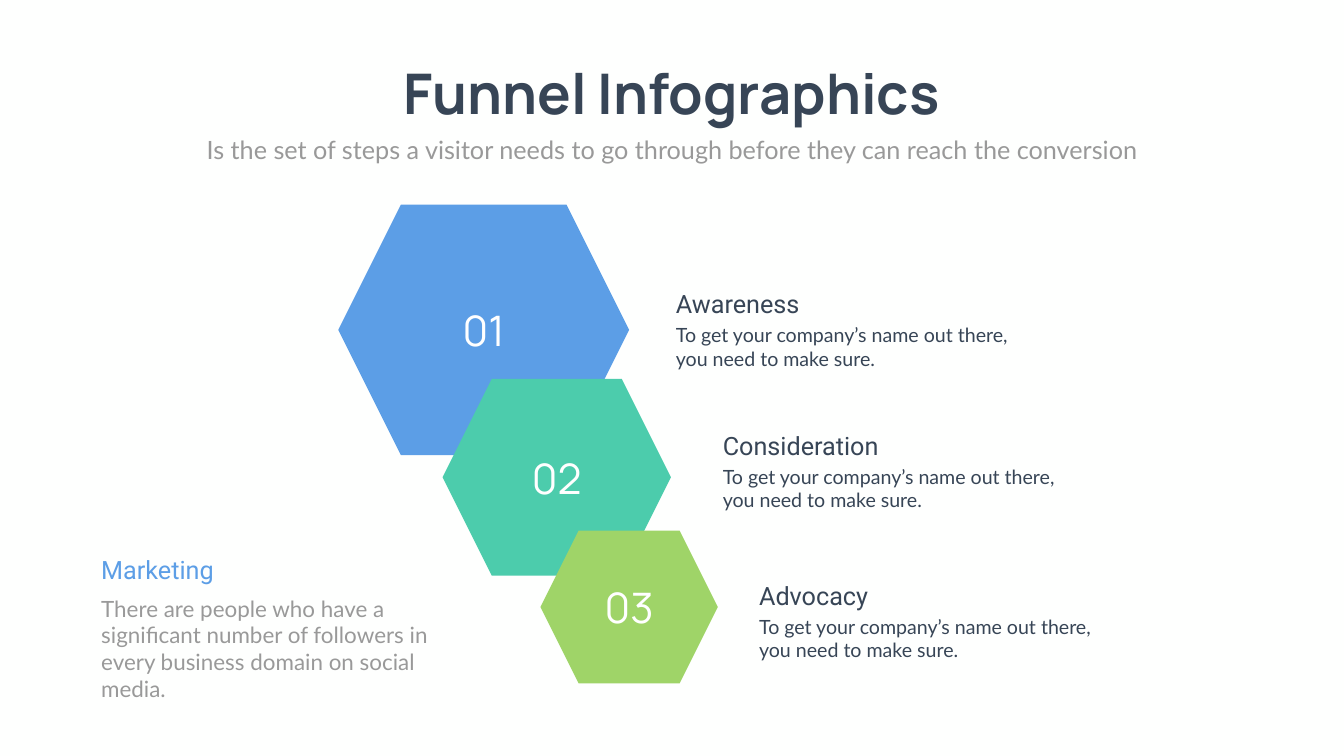
import pptx
import pptx.util
import pptx.dml.color
import pptx.enum.shapes
import pptx.enum.text

COLORS = {
    "background": "FEFFFE", "dark": "374556", "gray": "999999", "white": "FFFFFF",
    "blue": "5C9EE6", "teal": "4CCCAC", "green": "9FD468",
}
ALIGN = pptx.enum.text.PP_ALIGN
ANCHOR = pptx.enum.text.MSO_ANCHOR

deck = pptx.Presentation()
deck.slide_width = pptx.util.Inches(26.66)
deck.slide_height = pptx.util.Inches(15)
page = deck.slides.add_slide(deck.slide_layouts[5])
page.background.fill.solid()
page.background.fill.fore_color.rgb = pptx.dml.color.RGBColor.from_string(COLORS["background"])


def area(left, top, width, height):
    """Turn percentages of the slide's size into lengths."""
    column, row = deck.slide_width / 100, deck.slide_height / 100
    return [round(left * column), round(top * row), round(width * column), round(height * row)]


def write(shape, text, size, font, color, align=ALIGN.LEFT, anchor=ANCHOR.TOP, bold=False):
    frame = shape.text_frame
    frame.text = text
    frame.word_wrap = True
    frame.vertical_anchor = anchor
    para = frame.paragraphs[0]
    para.alignment = align
    span = para.runs[0]
    span.font.size = pptx.util.Pt(size)
    span.font.name = font
    span.font.bold = bold
    span.font.color.rgb = pptx.dml.color.RGBColor.from_string(COLORS[color])


# Title
title = page.shapes.title
title.left, title.top, title.width, title.height = area(28.02, 7.47, 43.92, 9.67)
write(title, "Funnel Infographics", 80, "Manrope", "dark", ALIGN.CENTER, bold=True)
title.text_frame.word_wrap = False
title.text_frame.auto_size = pptx.enum.text.MSO_AUTO_SIZE.SHAPE_TO_FIT_TEXT

# Funnel of overlapping hexagons, largest at the back
funnel = page.shapes.add_group_shape()
hexagons = [
    ("blue", 25.17, 27.07, 21.64, 33.13),
    ("teal", 32.93, 50.13, 16.99, 26),
    ("green", 40.21, 70.2, 13.2, 20.2),
]
for number, (color, *place) in enumerate(hexagons, start=1):
    hexagon = funnel.shapes.add_shape(pptx.enum.shapes.MSO_SHAPE.HEXAGON, *area(*place))
    hexagon.shadow.inherit = False
    hexagon.fill.solid()
    hexagon.fill.fore_color.rgb = pptx.dml.color.RGBColor.from_string(COLORS[color])
    hexagon.line.fill.background()
    write(hexagon, f"{number:02}", 60, "Manrope", "white", ALIGN.CENTER, ANCHOR.MIDDLE)

# Stage names with their descriptions
stages = [("Awareness", 49.92, 37.8), ("Consideration", 53.41, 56.53), ("Advocacy", 56.11, 76.4)]
description = "To get your company’s name out there, you need to make sure."
for name, left, top in stages:
    box = page.shapes.add_textbox(*area(left, top, 37.06, 4.73))
    write(box, name, 36, "Roboto", "dark")
    box = page.shapes.add_textbox(*area(left, top + 4.6, 25.88, 6.93))
    write(box, description, 28, "Lato", "dark")

# Subtitle
subtitle = page.shapes.add_textbox(*area(10.95, 17.4, 78.1, 4.73))
write(subtitle, "Is the set of steps a visitor needs to go through before they can reach the conversion",
      36, "Lato", "gray", ALIGN.CENTER)

# Marketing note
heading = page.shapes.add_textbox(*area(7.16, 72.93, 11.22, 4.73))
write(heading, "Marketing", 36, "Roboto", "blue")
note = page.shapes.add_textbox(*area(7.16, 78.33, 28.24, 11.47))
write(note, "There are people who have a significant number of followers in every business domain "
      "on social media.", 32, "Lato", "gray")

deck.save("out.pptx")
